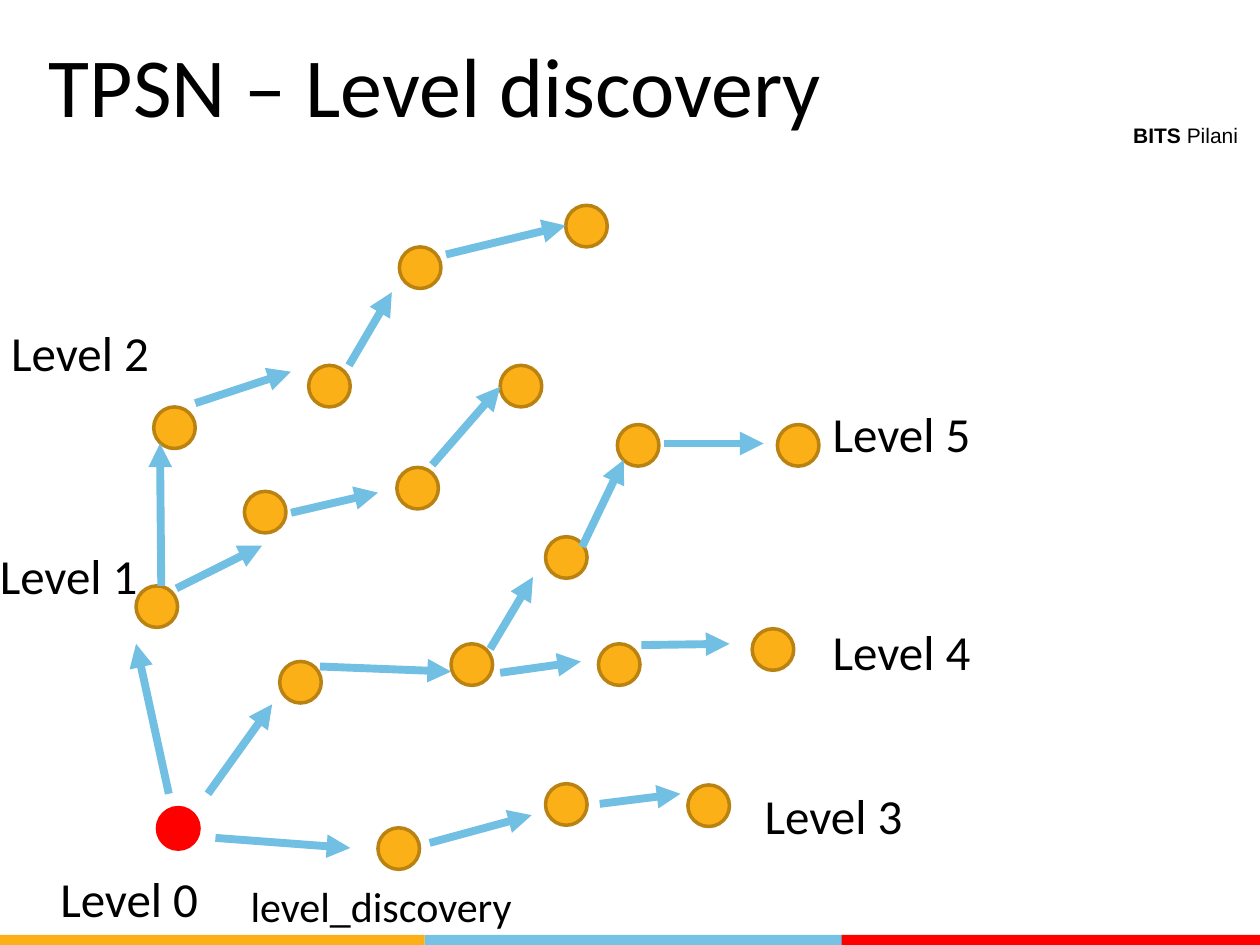
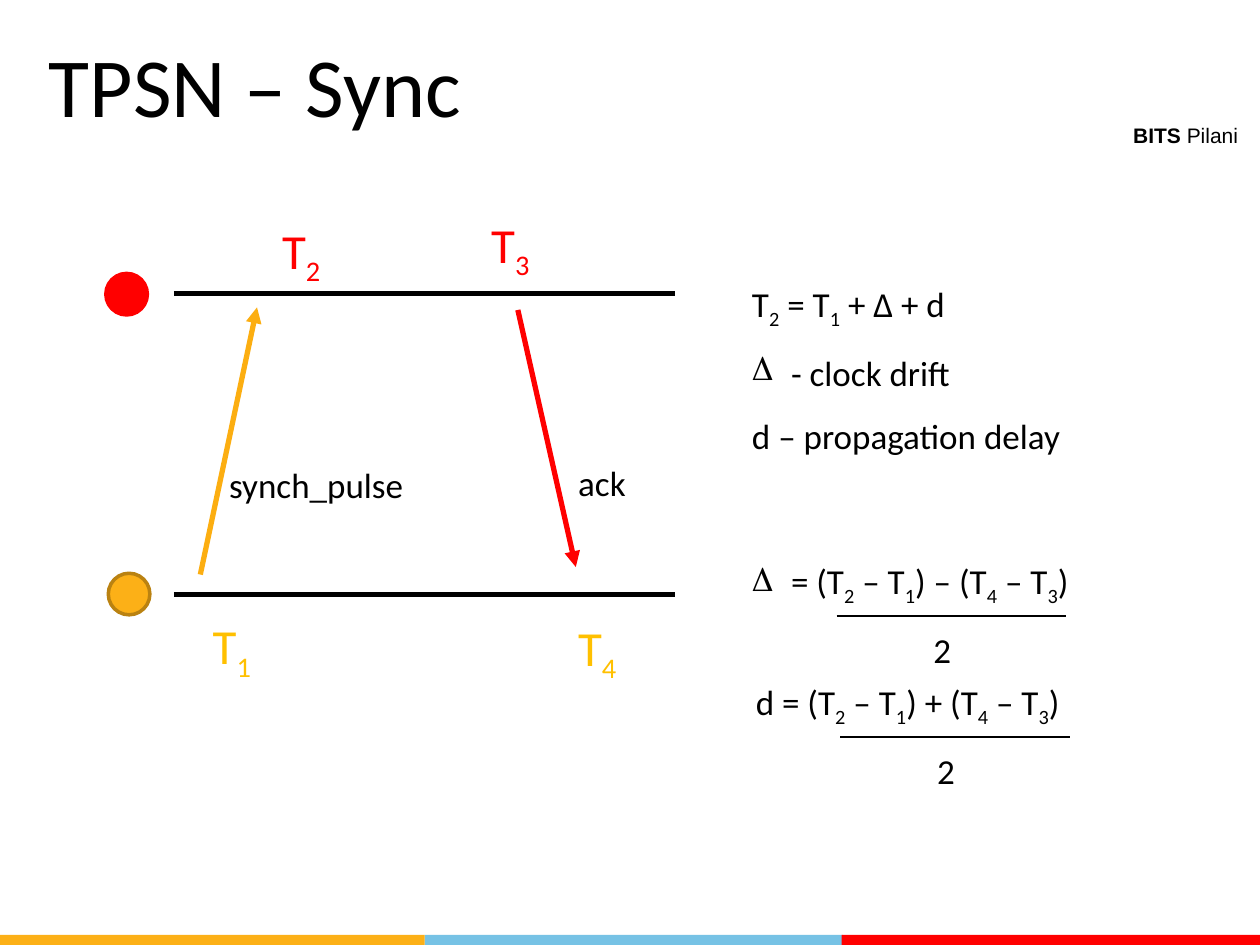
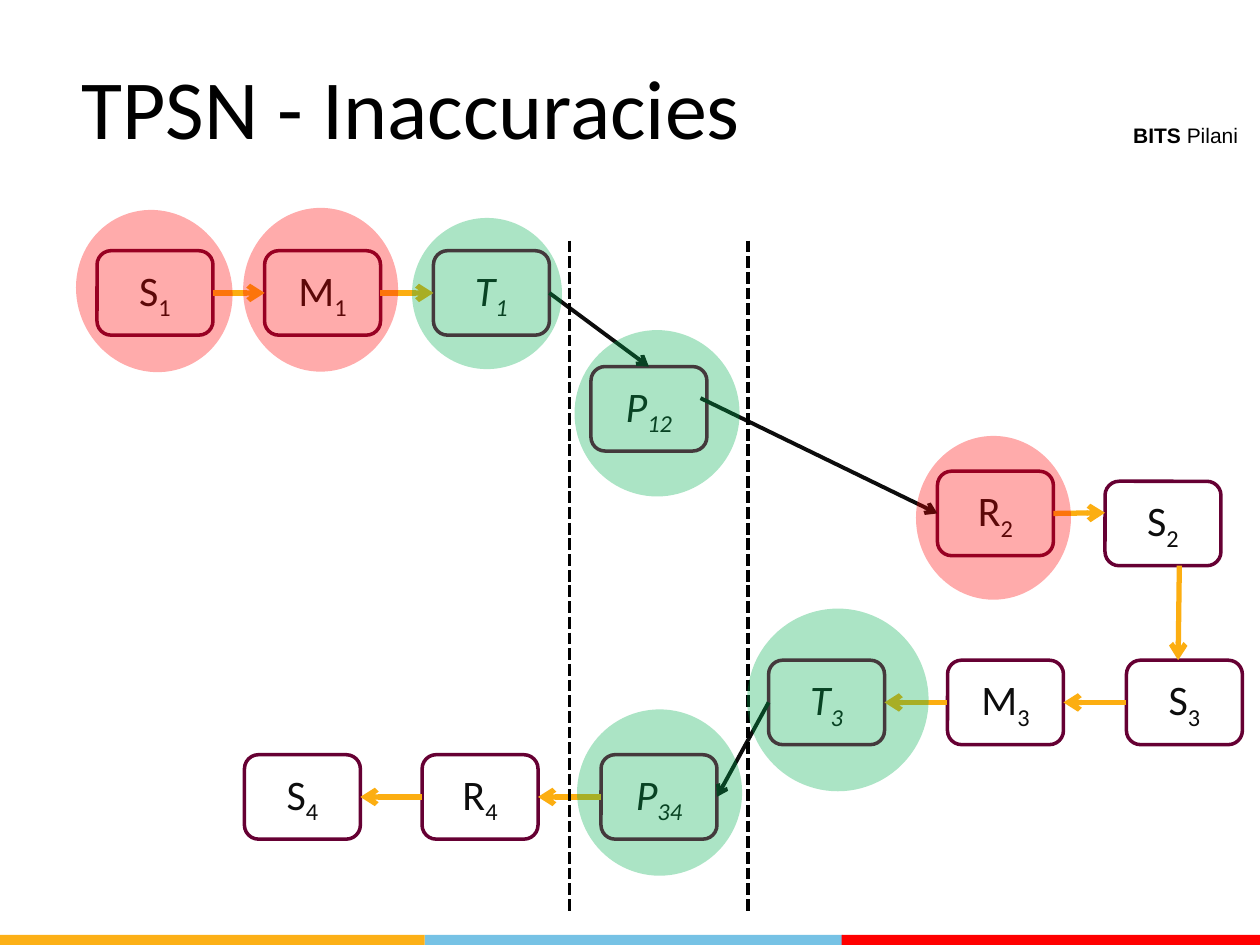
from dataclasses import dataclass
from typing import NamedTuple

from lxml.etree import SubElement
from pptx import Presentation
from pptx.dml.color import RGBColor
from pptx.enum.dml import MSO_LINE
from pptx.enum.shapes import MSO_CONNECTOR, MSO_SHAPE
from pptx.enum.text import MSO_ANCHOR, PP_ALIGN
from pptx.oxml.ns import qn
from pptx.util import Inches, Pt


@dataclass(frozen=True)
class Theme:
    font: str = "Calibri"
    brand_font: str = "Arial"
    black: str = "000000"
    ink: str = "0D0D0D"
    red: str = "FF0000"
    yellow: str = "FCB017"
    blue: str = "76C2E5"
    node_edge: str = "BA8211"
    flow: str = "71BFE3"
    orange: str = "FCAE11"
    amber: str = "FFC000"
    plum: str = "660033"
    green: str = "00B050"
    title: int = 48
    label: int = 28
    step: int = 24
    body: int = 20
    brand: int = 12


T = Theme()
NODE = 0.33
STEP_W, STEP_H = 0.92, 0.67
TOP, LEFT, RIGHT = 0, 1, 3


class Para(NamedTuple):
    markup: str  # text between tildes is subscript
    bullet: str = ""
    indent: float = 0


class Label(NamedTuple):
    text: str
    x: float
    y: float
    w: float = 2.01
    h: float = 0.67
    size: int = T.label
    color: str = T.black


class Arrow(NamedTuple):
    x1: float
    y1: float
    x2: float
    y2: float


class Step(NamedTuple):
    text: str
    x: float
    y: float
    italic: bool = False


class Halo(NamedTuple):
    x: float
    y: float
    w: float
    h: float
    color: str
    rotation: float = 0


# Shared drawing helpers

def rgb(color: str) -> RGBColor:
    return RGBColor.from_string(color)


def add_runs(p, markup: str, size: int, color: str, italic: bool = False) -> None:
    for i, piece in enumerate(markup.split("~")):
        if not piece:
            continue
        r = p.add_run()
        r.text = piece
        r.font.name, r.font.size = T.font, Pt(size)
        r.font.color.rgb = rgb(color)
        if italic:
            r.font.italic = True
        if i % 2:
            r._r.get_or_add_rPr().set("baseline", "-25000")


def add_frame(s, x: float, y: float, w: float, h: float, pad_y: float = 0.1):
    tf = s.shapes.add_textbox(Inches(x), Inches(y), Inches(w), Inches(h)).text_frame
    tf.word_wrap = True
    tf.margin_left = tf.margin_right = Inches(0.1)
    tf.margin_top = tf.margin_bottom = Inches(pad_y)
    return tf


def add_label(s, label: Label) -> None:
    tf = add_frame(s, label.x, label.y, label.w, label.h)
    tf.vertical_anchor = MSO_ANCHOR.BOTTOM
    add_runs(tf.paragraphs[0], label.text, label.size, label.color)


def add_paras(s, x: float, y: float, w: float, h: float, paras: list[Para]) -> None:
    tf = add_frame(s, x, y, w, h)
    tf.vertical_anchor = MSO_ANCHOR.BOTTOM
    for i, para in enumerate(paras):
        p = tf.add_paragraph() if i else tf.paragraphs[0]
        p.line_spacing = 1.5
        pPr = p._p.get_or_add_pPr()
        if para.indent:
            pPr.set("marL", str(Inches(para.indent)))
            pPr.set("indent", str(-Inches(para.indent) if para.bullet else 0))
        if para.bullet:
            SubElement(pPr, qn("a:buChar")).set("char", para.bullet)
        add_runs(p, para.markup, T.body, T.black)


def add_box(s, kind, x: float, y: float, w: float, h: float,
            fill: str = "", line: str = ""):
    sp = s.shapes.add_shape(kind, Inches(x), Inches(y), Inches(w), Inches(h))
    sp.shadow.inherit = False
    if fill:
        sp.fill.solid()
        sp.fill.fore_color.rgb = rgb(fill)
    else:
        sp.fill.background()
    if line:
        sp.line.color.rgb = rgb(line)
        sp.line.width = Pt(2)
    else:
        sp.line.fill.background()
    return sp


def add_node(s, x: float, y: float, root: bool = False) -> None:
    fill, line = (T.red, T.red) if root else (T.yellow, T.node_edge)
    add_box(s, MSO_SHAPE.OVAL, x, y, NODE, NODE, fill, line)


def add_line(s, arrow: Arrow, color: str, width: float, head: str = "", dash=None):
    cn = s.shapes.add_connector(MSO_CONNECTOR.STRAIGHT, *map(Inches, arrow))
    cn.line.color.rgb = rgb(color)
    cn.line.width = Pt(width)
    if dash is not None:
        cn.line.dash_style = dash
    spPr = cn.element.spPr
    if head:
        SubElement(spPr.find(qn("a:ln")), qn("a:tailEnd")).set("type", head)
    SubElement(spPr, qn("a:effectLst"))
    return cn


def add_slide(prs, title: Label):
    s = prs.slides.add_slide(prs.slide_layouts[6])
    # Footer bands
    for x, w, color in ((3.37, 3.32, T.blue), (0, 3.37, T.yellow), (6.68, 3.32, T.red)):
        add_box(s, MSO_SHAPE.RECTANGLE, x, 7.42, w, 0.08, color)
    # University name
    p = add_frame(s, 8.85, 0.92, 1.12, 0.29, pad_y=0.05).paragraphs[0]
    p.alignment = PP_ALIGN.CENTER
    for text, bold in (("BITS", True), (" Pilani", False)):
        r = p.add_run()
        r.text = text
        r.font.name, r.font.size, r.font.bold = T.brand_font, Pt(T.brand), bold
        r.font.color.rgb = rgb(T.black)
    add_label(s, title)
    return s


# Slide 1: level discovery

ROOT = (1.25, 6.41)
NODES = [
    (1.08, 4.65), (2.22, 5.25), (3, 6.57), (3.58, 5.11), (1.22, 3.23), (1.94, 3.9),
    (3.15, 3.71), (4.33, 6.22), (4.75, 5.11), (4.33, 4.26), (5.46, 6.23), (2.45, 2.9),
    (3.17, 1.96), (3.97, 2.9), (4.49, 1.63), (4.9, 3.37), (5.97, 4.99), (6.17, 3.37),
]
MESSAGES = [
    Arrow(1.34, 6.3, 1.08, 5.11), Arrow(1.65, 6.3, 2.16, 5.59),
    Arrow(1.71, 6.65, 2.78, 6.73), Arrow(1.28, 4.65, 1.27, 3.52),
    Arrow(1.4, 4.67, 2.08, 4.33), Arrow(2.54, 5.29, 3.58, 5.33),
    Arrow(3.41, 6.69, 4.22, 6.47), Arrow(1.55, 3.2, 2.31, 2.95),
    Arrow(2.31, 4.07, 3, 3.91), Arrow(3.89, 5.15, 4.23, 4.58),
    Arrow(3.97, 5.34, 4.61, 5.25), Arrow(4.76, 6.38, 5.4, 6.3),
    Arrow(2.77, 2.9, 3.11, 2.32), Arrow(3.43, 3.69, 3.97, 3.07),
    Arrow(4.62, 4.34, 4.95, 3.65), Arrow(5.09, 5.12, 5.79, 5.11),
    Arrow(3.54, 2.02, 4.49, 1.79), Arrow(5.27, 3.52, 6.06, 3.52),
]
LEVELS = [(0.38, 6.79), (-0.1, 4.23), (-0.01, 2.46), (5.97, 6.13), (6.51, 4.83), (6.51, 3.1)]


def level_slide(prs) -> None:
    s = add_slide(prs, Label("TPSN – Level discovery", 0.29, 0.16, 8.41, 1.01, T.title))
    add_node(s, *ROOT, root=True)
    for x, y in NODES:
        add_node(s, x, y)
    for message in MESSAGES:
        add_line(s, message, T.flow, 4.5, "triangle")
    for level, (x, y) in enumerate(LEVELS):
        add_label(s, Label(f"Level {level}", x, y))
    add_label(s, Label("level_discovery", 1.89, 6.88, 3.17, 0.61, T.step))


# Slide 2: pulse exchange and its equations

SYNC_LABELS = [
    Label("T~3~", 3.8, 1.66, 1.53, color=T.red),
    Label("T~4~", 4.49, 4.86, 1.53, color=T.amber),
    Label("T~2~", 2.14, 1.71, 1.53, color=T.red),
    Label("T~1~", 1.59, 4.85, 1.53, color=T.amber),
    Label("synch_pulse", 1.72, 3.57, 3.32, 0.54, T.body),
    Label("ack", 4.49, 3.56, 3.32, 0.54, T.body),
]


def sync_slide(prs) -> None:
    s = add_slide(prs, Label("TPSN – Sync", 0.29, 0.16, 8.41, 1.01, T.title))
    add_node(s, 0.84, 2.17, root=True)
    add_node(s, 0.86, 4.55)
    for y in (2.33, 4.72):
        add_line(s, Arrow(1.38, y, 5.36, y), T.black, 3)
    add_line(s, Arrow(1.59, 4.56, 2.04, 2.44), T.orange, 3, "triangle")
    add_line(s, Arrow(4.11, 2.46, 4.57, 4.5), T.red, 3, "triangle")
    for label in SYNC_LABELS:
        add_label(s, label)
    add_paras(s, 5.87, 2.06, 3.36, 1.66, [
        Para("T~2~ = T~1~ + Δ + d"),
        Para("- clock drift", "Δ", 0.31),
        Para("d – propagation delay"),
    ])
    # Fractions: numerator, bar, denominator
    drift = Para("= (T~2~ – T~1~) – (T~4~ – T~3~)", "Δ", 0.31)
    delay = Para("d = (T~2~ – T~1~) + (T~4~ – T~3~)")
    for x, y, numerator in ((5.87, 4.2, drift), (5.9, 5.16, delay)):
        add_paras(s, x, y, 3.36, 1.22, [numerator, Para("2", indent=1.44)])
        bar_y = y + 0.69
        add_line(s, Arrow(x + 0.77, bar_y, x + 2.59, bar_y), T.black, 0.75)


# Slide 3: delays along the message route

STEPS = [
    Step("S~1~", 0.77, 1.99), Step("M~1~", 2.1, 1.99), Step("T~1~", 3.44, 1.99, True),
    Step("P~12~", 4.69, 2.91, True), Step("R~2~", 7.44, 3.74), Step("S~2~", 8.77, 3.82),
    Step("S~3~", 8.94, 5.24), Step("M~3~", 7.52, 5.24), Step("T~3~", 6.1, 5.24, True),
    Step("P~34~", 4.77, 5.99, True), Step("R~4~", 3.35, 5.99), Step("S~4~", 1.94, 5.99),
]
# Start step and side, end step and side
LOCAL_LINKS = [
    ("S~1~", RIGHT, "M~1~", LEFT), ("M~1~", RIGHT, "T~1~", LEFT),
    ("S~3~", LEFT, "M~3~", RIGHT), ("M~3~", LEFT, "T~3~", RIGHT),
    ("P~34~", LEFT, "R~4~", RIGHT), ("R~4~", LEFT, "S~4~", RIGHT),
]
RADIO_LINKS = [("T~1~", RIGHT, "P~12~", TOP), ("T~3~", LEFT, "P~34~", RIGHT)]
HALOS = [
    Halo(4.56, 2.62, 1.31, 1.32, T.green), Halo(4.58, 5.63, 1.31, 1.32, T.green),
    Halo(3.27, 1.73, 1.19, 1.2, T.green), Halo(5.93, 4.83, 1.44, 1.45, T.green),
    Halo(1.93, 1.65, 1.23, 1.3, T.red), Halo(0.61, 1.66, 1.23, 1.3, T.red, 335),
    Halo(7.27, 3.46, 1.23, 1.3, T.red),
]


def add_step(s, step: Step):
    sp = add_box(s, MSO_SHAPE.ROUNDED_RECTANGLE, step.x, step.y, STEP_W, STEP_H, line=T.plum)
    tf = sp.text_frame
    tf.vertical_anchor = MSO_ANCHOR.MIDDLE
    p = tf.paragraphs[0]
    p.alignment = PP_ALIGN.CENTER
    add_runs(p, step.text, T.step, T.ink, step.italic)
    return sp


def add_halo(s, halo: Halo) -> None:
    sp = add_box(s, MSO_SHAPE.OVAL, halo.x, halo.y, halo.w, halo.h, halo.color)
    sp.rotation = halo.rotation
    color = sp.element.spPr.find(qn("a:solidFill")).find(qn("a:srgbClr"))
    SubElement(color, qn("a:alpha")).set("val", "33000")


def inaccuracy_slide(prs) -> None:
    s = add_slide(prs, Label("TPSN - Inaccuracies", 0.55, 0.44, 7.14, 0.9, T.title))
    boxes = {step.text: add_step(s, step) for step in STEPS}
    for links, color, width in ((LOCAL_LINKS, T.orange, 3), (RADIO_LINKS, T.ink, 2.25)):
        for start, start_side, end, end_side in links:
            cn = add_line(s, Arrow(0, 0, 1, 1), color, width, "arrow")
            cn.begin_connect(boxes[start], start_side)
            cn.end_connect(boxes[end], end_side)
    # Links that leave or reach a step away from the middle of its side
    cn = add_line(s, Arrow(5.56, 3.16, 7.44, 4.07), T.ink, 2.25, "arrow")
    cn.end_connect(boxes["R~2~"], LEFT)
    cn = add_line(s, Arrow(8.36, 4.07, 8.77, 4.07), T.orange, 3, "arrow")
    cn.begin_connect(boxes["R~2~"], RIGHT)
    add_line(s, Arrow(9.36, 4.49, 9.35, 5.24), T.orange, 3, "arrow")
    # Borders between sender, medium and receiver
    for x in (4.52, 5.94):
        add_line(s, Arrow(x, 1.91, x, 7.24), T.black, 2.25, dash=MSO_LINE.SQUARE_DOT)
    for halo in HALOS:
        add_halo(s, halo)


def main() -> None:
    prs = Presentation()
    prs.slide_width, prs.slide_height = Inches(10), Inches(7.5)
    level_slide(prs)
    sync_slide(prs)
    inaccuracy_slide(prs)
    prs.save("out.pptx")


if __name__ == "__main__":
    main()
